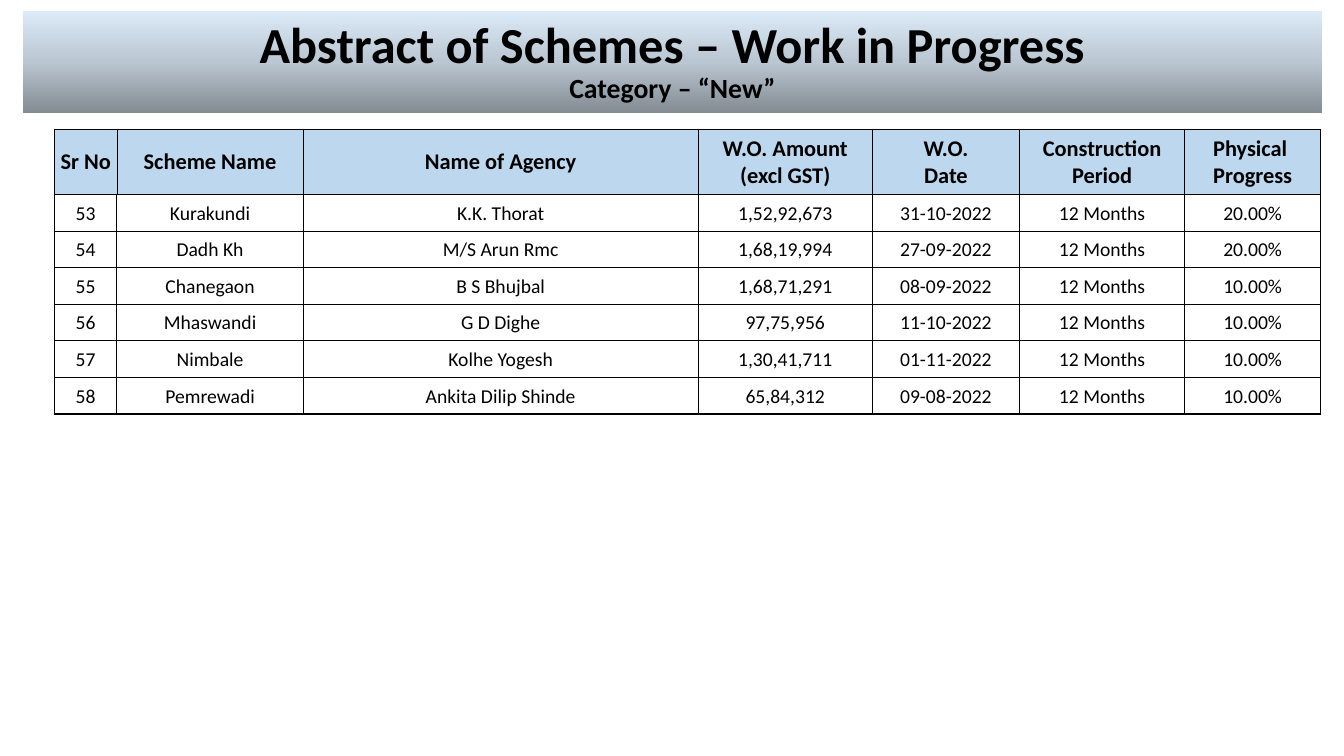
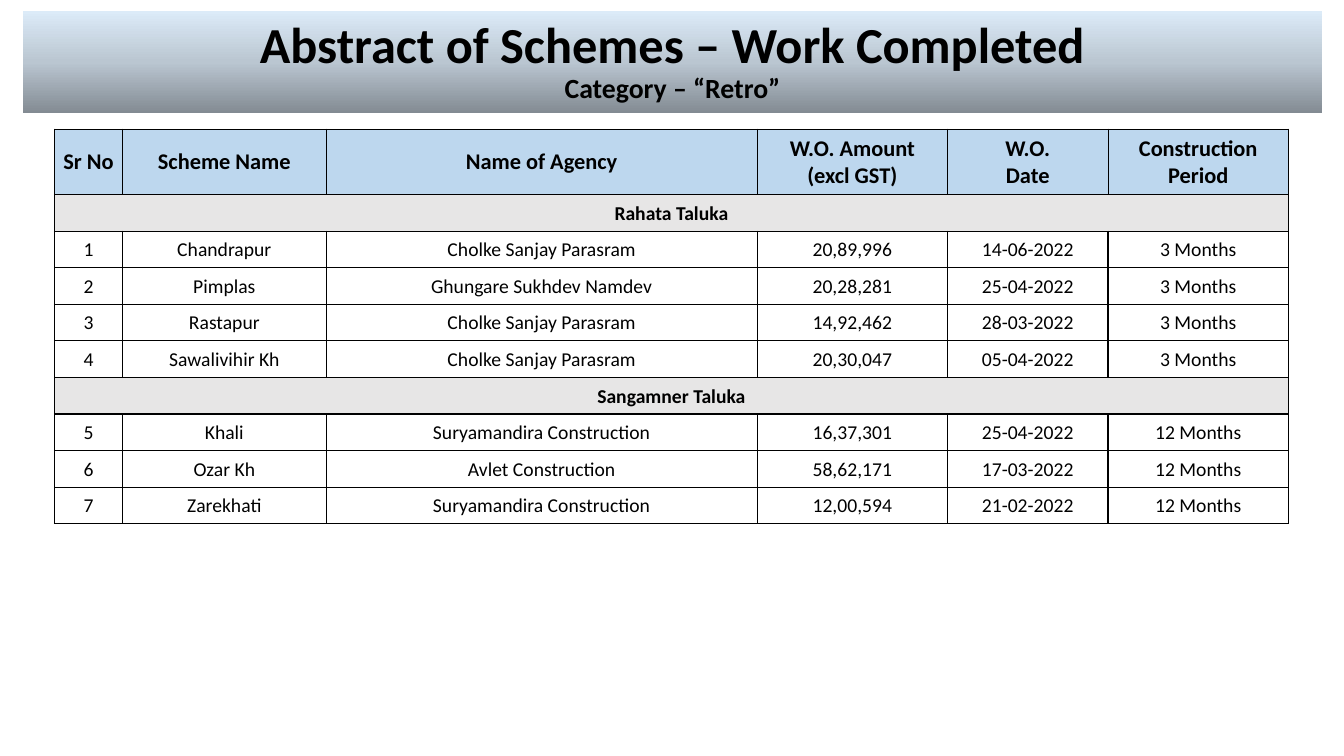
import copy

import lxml.etree
import pptx
import pptx.dml.color
import pptx.enum.text
import pptx.oxml.ns
import pptx.util

Inches = pptx.util.Inches
qn = pptx.oxml.ns.qn

BLACK = "000000"
HEADER_BLUE = "BDD7EE"
TALUKA_GREY = "E7E6E6"
BAND_STOPS = [(0, "838B93"), (0.5, "BAC6D1"), (1, "DCEBF8")]

TABLE_LEFT, TABLE_TOP = Inches(0.54), Inches(1.28)
HEADER_HEIGHT = Inches(0.65)
ROW_HEIGHT = Inches(1.09) // 3

# Heading and relative width of each column
COLUMNS = [
    ("Sr No", 0.62),
    ("Scheme Name", 1.85),
    ("Name of Agency", 3.92),
    ("W.O. Amount\v(excl GST)", 1.73),
    ("W.O.\vDate", 1.46),
    ("Construction\vPeriod", 1.64),
    ("Physical \nProgress", 1.35),
]

IN_PROGRESS = [
    ("53", "Kurakundi", "K.K. Thorat", "1,52,92,673", "31-10-2022", "12 Months", "20.00%"),
    ("54", "Dadh Kh", "M/S Arun Rmc", "1,68,19,994", "27-09-2022", "12 Months", "20.00%"),
    ("55", "Chanegaon", "B S Bhujbal", "1,68,71,291", "08-09-2022", "12 Months", "10.00%"),
    ("56", "Mhaswandi", "G D Dighe", "97,75,956", "11-10-2022", "12 Months", "10.00%"),
    ("57", "Nimbale", "Kolhe Yogesh", "1,30,41,711", "01-11-2022", "12 Months", "10.00%"),
    ("58", "Pemrewadi", "Ankita Dilip Shinde", "65,84,312", "09-08-2022", "12 Months", "10.00%"),
]

# A row with a single entry is a taluka heading across all columns
COMPLETED = [
    ("Rahata Taluka",),
    ("1", "Chandrapur", "Cholke Sanjay Parasram", "20,89,996", "14-06-2022", "3 Months"),
    ("2", "Pimplas", "Ghungare Sukhdev Namdev", "20,28,281", "25-04-2022", "3 Months"),
    ("3", "Rastapur", "Cholke Sanjay Parasram", "14,92,462", "28-03-2022", "3 Months"),
    ("4", "Sawalivihir Kh", "Cholke Sanjay Parasram", "20,30,047", "05-04-2022", "3 Months"),
    ("Sangamner Taluka",),
    ("5", "Khali", "Suryamandira Construction", "16,37,301", "25-04-2022", "12 Months"),
    ("6", "Ozar Kh", "Avlet Construction", "58,62,171", "17-03-2022", "12 Months"),
    ("7", "Zarekhati", "Suryamandira Construction", "12,00,594", "21-02-2022", "12 Months"),
]


def rgb(hex_string):
    return pptx.dml.color.RGBColor.from_string(hex_string)


def apply(target, values):
    for name, value in values.items():
        setattr(target, name, value)


class SchemeDeck:
    title_box = dict(left=Inches(0.23), top=Inches(0.11),
                     width=Inches(12.88), height=Inches(1.01))
    title_frame = dict(vertical_anchor=pptx.enum.text.MSO_ANCHOR.MIDDLE,
                       auto_size=pptx.enum.text.MSO_AUTO_SIZE.NONE, word_wrap=True)
    cell_layout = dict(vertical_anchor=pptx.enum.text.MSO_ANCHOR.MIDDLE,
                       margin_left=Inches(0.01), margin_top=Inches(0.01),
                       margin_right=Inches(0.01), margin_bottom=0)
    plain_table = dict(first_row=False, horz_banding=False)

    def __init__(self):
        self.deck = pptx.Presentation()
        apply(self.deck, dict(slide_width=Inches(13.33), slide_height=Inches(7.5)))
        self.slide = None

    def set_text(self, frame, text, sizes, bold):
        """Fill a text frame; sizes holds one point size per line of a paragraph."""
        frame.text = text
        for paragraph in frame.paragraphs:
            paragraph.alignment = pptx.enum.text.PP_ALIGN.CENTER
            for run, size in zip(paragraph.runs, sizes):
                apply(run.font, dict(name="Calibri", size=pptx.util.Pt(size), bold=bold))
                run.font.color.rgb = rgb(BLACK)
            for line_break in paragraph._p.findall(qn("a:br")):
                lxml.etree.SubElement(line_break, qn("a:rPr"), sz=str(sizes[0] * 100))

    def add_slide(self, heading, category):
        self.slide = self.deck.slides.add_slide(self.deck.slide_layouts[5])
        title = self.slide.shapes.title
        apply(title, self.title_box)
        apply(title.text_frame, self.title_frame)
        self.set_text(title.text_frame, f"{heading}\v{category}", (36, 19.8), True)
        title.text_frame.paragraphs[0].line_spacing = 0.9

        title.fill.gradient()
        stop_list = title._element.spPr.find(".//" + qn("a:gsLst"))
        stop_list.append(copy.deepcopy(stop_list[-1]))
        for stop, (position, color) in zip(title.fill.gradient_stops, BAND_STOPS):
            stop.position = position
            stop.color.rgb = rgb(color)
        title.fill.gradient_angle = 90

    def add_borders(self, cell, widths):
        """Draw black borders; widths are points for left, right, top, bottom."""
        properties = cell._tc.get_or_add_tcPr()
        for side, width in zip("LRTB", widths):
            line = lxml.etree.SubElement(properties, qn(f"a:ln{side}"),
                                         w=str(int(pptx.util.Pt(width))))
            fill = lxml.etree.SubElement(line, qn("a:solidFill"))
            lxml.etree.SubElement(fill, qn("a:srgbClr"), val=BLACK)

    def add_table(self, rows, top, row_height, widths, size, borders, header=False):
        table = self.slide.shapes.add_table(
            len(rows), len(widths), TABLE_LEFT, top,
            sum(widths), row_height * len(rows)).table
        apply(table, self.plain_table)
        for column, width in zip(table.columns, widths):
            column.width = width
        for index, (row, entries) in enumerate(zip(table.rows, rows)):
            row.height = row_height
            is_taluka = len(entries) == 1
            fill_color = HEADER_BLUE if header else TALUKA_GREY if is_taluka else None
            for cell in row.cells:
                apply(cell, self.cell_layout)
                self.add_borders(cell, borders)
                if fill_color:
                    cell.fill.solid()
                    cell.fill.fore_color.rgb = rgb(fill_color)
                else:
                    cell.fill.background()
            if is_taluka:
                table.cell(index, 0).merge(table.cell(index, len(widths) - 1))
            for cell, entry in zip(row.cells, entries):
                self.set_text(cell.text_frame, entry, (size, size), header or is_taluka)

    def add_schemes(self, schemes, total_width):
        """Add the heading table and, right below it, the table of schemes."""
        columns = COLUMNS[:max(map(len, schemes))]
        share = total_width / sum(width for _, width in columns)
        widths = [Inches(width * share) for _, width in columns]
        headings = [[heading for heading, _ in columns]]
        self.add_table(headings, TABLE_TOP, HEADER_HEIGHT, widths, 16,
                       (0.5, 0.5, 0.5, 1), header=True)
        self.add_table(schemes, TABLE_TOP + HEADER_HEIGHT, ROW_HEIGHT, widths, 14,
                       (1, 1, 1, 1))


def main():
    report = SchemeDeck()
    report.add_slide("Abstract of Schemes – Work in Progress", "Category – “New”")
    report.add_schemes(IN_PROGRESS, 12.56)
    report.add_slide("Abstract of Schemes – Work Completed", "Category – “Retro”")
    report.add_schemes(COMPLETED, 12.24)
    report.deck.save("out.pptx")


if __name__ == "__main__":
    main()
